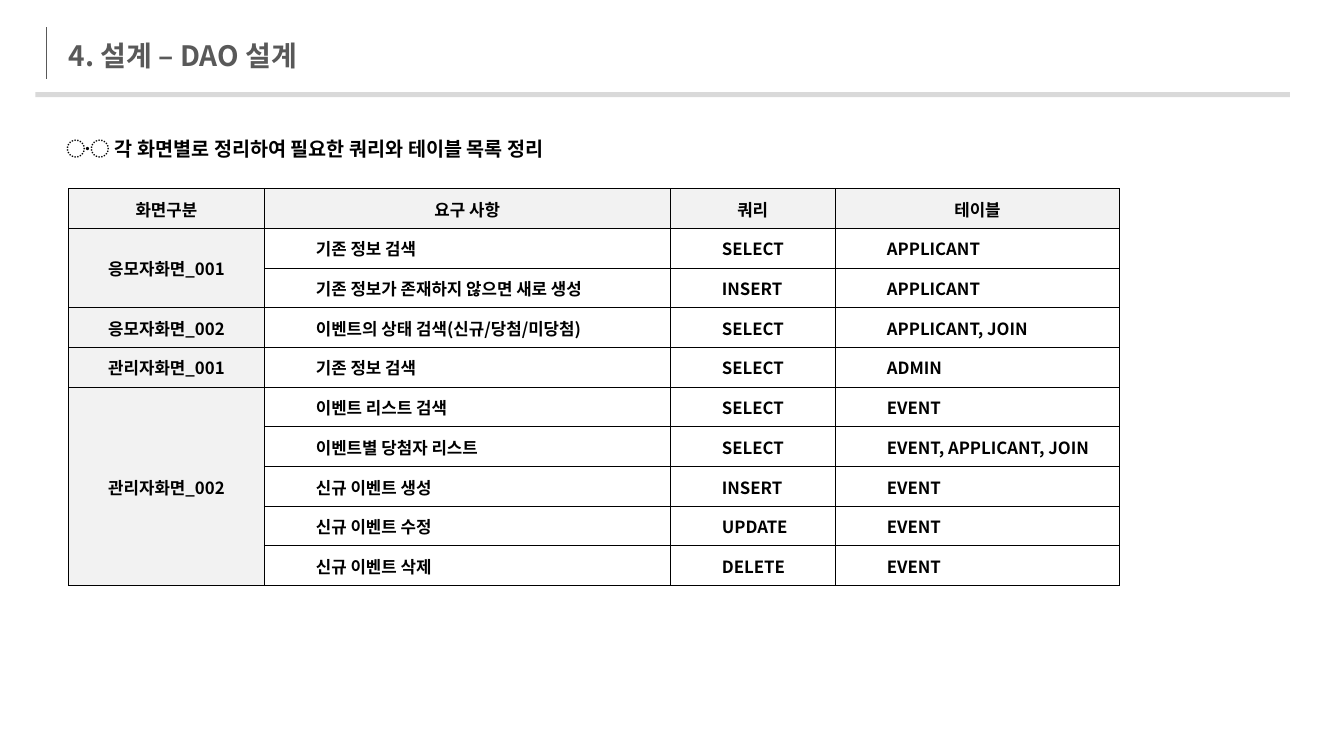
import pptx
import pptx.util
import pptx.dml.color
import pptx.enum.shapes
import pptx.enum.text
import pptx.oxml.ns
import lxml.etree

Cm, Pt = pptx.util.Cm, pptx.util.Pt
qn = pptx.oxml.ns.qn
ALIGN = pptx.enum.text.PP_ALIGN
MIDDLE = pptx.enum.text.MSO_ANCHOR.MIDDLE

# Content
NOTO = "Noto Sans CJK KR"
TITLE = "4. 설계 – DAO 설계"
LEAD = "〮 각 화면별로 정리하여 필요한 쿼리와 테이블 목록 정리"
HEAD = ("화면구분", "요구 사항", "쿼리", "테이블")
SCREENS = [
    ("응모자화면_001", [
        ("기존 정보 검색", "SELECT", "APPLICANT"),
        ("기존 정보가 존재하지 않으면 새로 생성", "INSERT", "APPLICANT")]),
    ("응모자화면_002", [
        ("이벤트의 상태 검색(신규/당첨/미당첨)", "SELECT", "APPLICANT, JOIN")]),
    ("관리자화면_001", [
        ("기존 정보 검색", "SELECT", "ADMIN")]),
    ("관리자화면_002", [
        ("이벤트 리스트 검색", "SELECT", "EVENT"),
        ("이벤트별 당첨자 리스트", "SELECT", "EVENT, APPLICANT, JOIN"),
        ("신규 이벤트 생성", "INSERT", "EVENT"),
        ("신규 이벤트 수정", "UPDATE", "EVENT"),
        ("신규 이벤트 삭제", "DELETE", "EVENT")]),
]
WIDTHS = (4.93, 10.23, 4.16, 7.17)
ROW = 1.0


def color(code):
    return pptx.dml.color.RGBColor.from_string(code)


def write(para, text, size, face=NOTO, ink="000000", indent=0):
    para.text = text
    font = para.font
    font.size, font.bold, font.name = Pt(size), True, face
    font.color.rgb = color(ink)
    props = para._p.get_or_add_pPr()
    asian = lxml.etree.SubElement(props.find(qn("a:defRPr")), qn("a:ea"))
    asian.set("typeface", NOTO)
    props.set("marL", str(Cm(indent)))
    props.set("indent", "0")


def border(cell):
    props = cell._tc.get_or_add_tcPr()
    for side in ("lnL", "lnR", "lnT", "lnB"):
        line = lxml.etree.SubElement(props, qn("a:" + side), w=str(Pt(0.5)))
        fill = lxml.etree.SubElement(line, qn("a:solidFill"))
        lxml.etree.SubElement(fill, qn("a:srgbClr"), val="000000")


def style(cell, shaded):
    border(cell)
    if shaded:
        cell.fill.solid()
        cell.fill.fore_color.rgb = color("F2F2F2")
    else:
        cell.fill.background()
    cell.vertical_anchor = MIDDLE
    cell.margin_left = cell.margin_right = cell.margin_top = Cm(0.03)
    cell.margin_bottom = 0


def enter(cell, text, center):
    para = cell.text_frame.paragraphs[0]
    write(para, text, 12, indent=0 if center else 1.27)
    if center:
        para.alignment = ALIGN.CENTER
    else:
        para.level = 1


def header(shapes):
    # Title
    frame = shapes.add_textbox(Cm(1.73), Cm(0.36), Cm(7.6), Cm(2.06)).text_frame
    frame.word_wrap = True
    frame.vertical_anchor = MIDDLE
    frame.margin_left = frame.margin_right = 0
    frame.margin_top = frame.margin_bottom = 0
    write(frame.paragraphs[0], TITLE, 20, ink="595959")

    # Rule below the title
    rect = pptx.enum.shapes.MSO_SHAPE.RECTANGLE
    rule = shapes.add_shape(rect, Cm(0.89), Cm(2.32), Cm(31.62), Cm(0.13))
    rule.shadow.inherit = False
    rule.fill.solid()
    rule.fill.fore_color.rgb = color("D9D9D9")
    rule.line.fill.background()

    # Thin mark beside the title
    kind = pptx.enum.shapes.MSO_CONNECTOR.STRAIGHT
    mark = shapes.add_connector(kind, Cm(1.17), Cm(0.69), Cm(1.17), Cm(1.98))
    mark.line.color.rgb = color("595959")
    mark.line.width = Pt(0.25)
    lxml.etree.SubElement(mark._element.spPr, qn("a:effectLst"))


def lead(shapes):
    frame = shapes.add_textbox(Cm(1.17), Cm(3.02), Cm(23.67), Cm(1.14)).text_frame
    frame.word_wrap = True
    frame.auto_size = pptx.enum.text.MSO_AUTO_SIZE.SHAPE_TO_FIT_TEXT
    para = frame.paragraphs[0]
    write(para, LEAD, 14, face="Arial", indent=0.25)
    para.line_spacing = 1.5


def queries(shapes):
    count = 1 + sum(len(tasks) for _, tasks in SCREENS)
    table = shapes.add_table(count, len(HEAD), Cm(1.73), Cm(4.75),
                             Cm(sum(WIDTHS)), Cm(ROW * count)).table
    for col, width in zip(table.columns, WIDTHS):
        col.width = Cm(width)
    for r, row in enumerate(table.rows):
        row.height = Cm(ROW)
        for c, cell in enumerate(row.cells):
            style(cell, r == 0 or c == 0)

    for c, text in enumerate(HEAD):
        enter(table.cell(0, c), text, True)
    top = 1
    for name, tasks in SCREENS:
        first = table.cell(top, 0)
        if len(tasks) > 1:
            first.merge(table.cell(top + len(tasks) - 1, 0))
        enter(first, name, True)
        for r, task in enumerate(tasks, top):
            for c, text in enumerate(task, 1):
                enter(table.cell(r, c), text, False)
        top += len(tasks)


def main():
    deck = pptx.Presentation()
    deck.slide_width, deck.slide_height = Cm(33.87), Cm(19.05)
    shapes = deck.slides.add_slide(deck.slide_layouts[6]).shapes
    header(shapes)
    lead(shapes)
    queries(shapes)
    deck.save("out.pptx")


if __name__ == "__main__":
    main()
